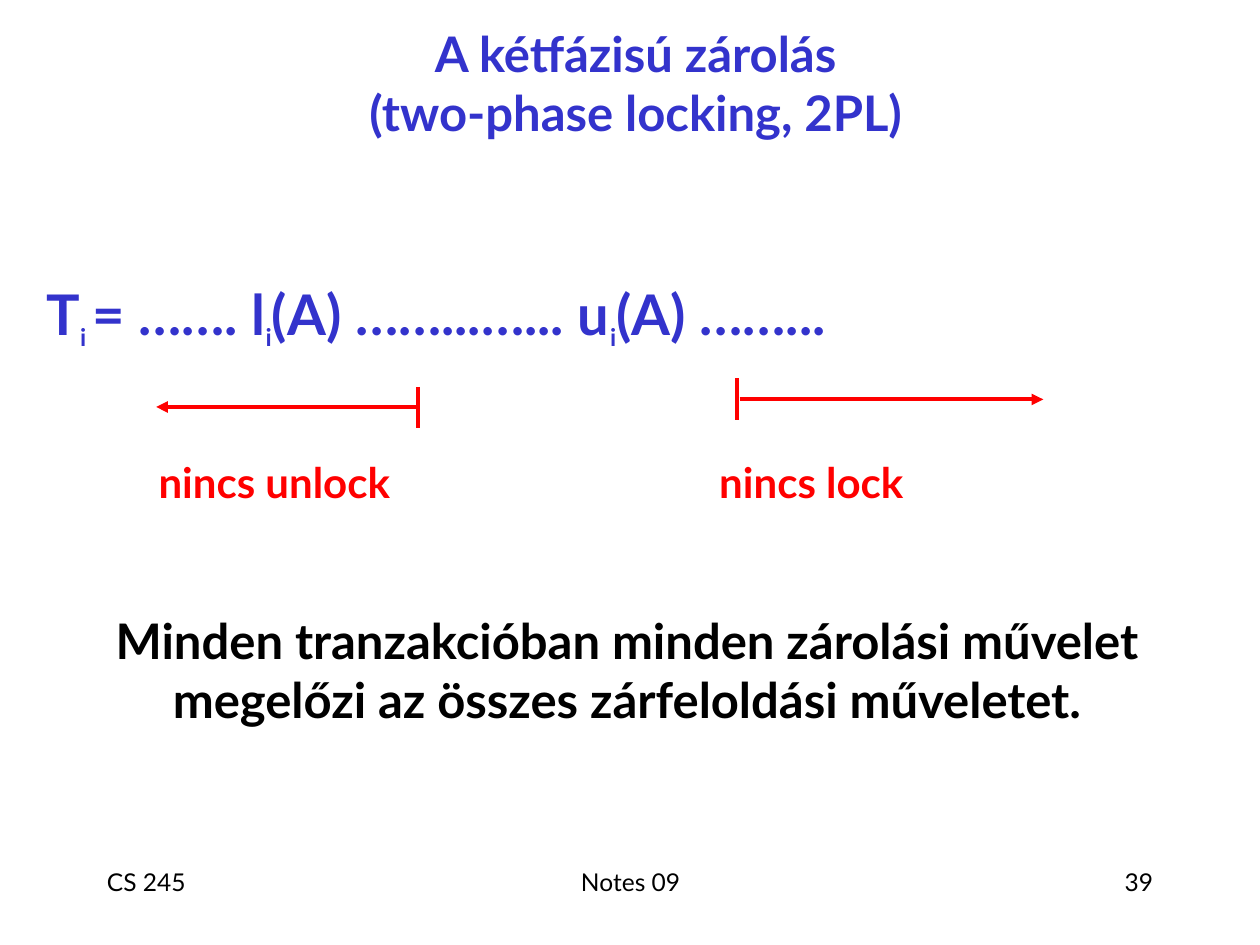
"""Build the slide on two-phase locking."""
from lxml import etree
from pptx import Presentation
from pptx.dml.color import RGBColor
from pptx.enum.shapes import MSO_CONNECTOR
from pptx.enum.text import MSO_ANCHOR, PP_ALIGN
from pptx.oxml.ns import qn
from pptx.util import Inches, Pt

BLUE = RGBColor(0x33, 0x33, 0xCC)
RED = RGBColor(0xFF, 0, 0)
BLACK = RGBColor(0, 0, 0)
LEFT, MID, RIGHT = PP_ALIGN.LEFT, PP_ALIGN.CENTER, PP_ALIGN.RIGHT
TOP, CENTER = MSO_ANCHOR.TOP, MSO_ANCHOR.MIDDLE
STRAIGHT = MSO_CONNECTOR.STRAIGHT
FONT = "Lato"

TITLE = ["A kétfázisú zárolás", "(two-phase locking, 2PL)"]
RULE = ["Minden tranzakcióban minden zárolási művelet "
        "megelőzi az összes zárfeloldási műveletet."]
TERMS = [("T", "i "), ("= ……. l", "i"), ("(A) ……...…... u", "i"),
         ("(A) ……...", "")]
LABELS = [("nincs unlock", 1.16), ("nincs lock", 5.61)]
FOOT = [("CS 245", 0.75, 2.08, LEFT), ("Notes 09", 3.42, 3.17, MID),
        ("39", 7.17, 2.08, RIGHT)]
ARROWS = [(3.32, 1.24, 3.23), (5.87, 8.28, 3.17)]
BARS = [(3.32, 3.07), (5.85, 3.0)]
BAR = 0.33


def add_box(slide, at, align=LEFT, anchor=TOP):
    frame = slide.shapes.add_textbox(*map(Inches, at)).text_frame
    frame.word_wrap = True
    frame.vertical_anchor = anchor
    para = frame.paragraphs[0]
    para.alignment = align
    return para


def add_run(para, text, size, color, bold=True):
    run = para.add_run()
    run.text = text
    font = run.font
    font.name, font.size, font.bold = FONT, Pt(size), bold
    font.color.rgb = color
    return run


def add_text(slide, lines, at, size, color, align=LEFT, anchor=TOP, bold=True):
    para = add_box(slide, at, align, anchor)
    for i, line in enumerate(lines):
        if i:
            para.add_line_break()
        add_run(para, line, size, color, bold)


def add_terms(slide, at):
    para = add_box(slide, at)
    for base, sub in TERMS:
        add_run(para, base, 32, BLUE)
        if sub:
            run = add_run(para, sub, 24, BLUE)
            run.font._element.set("baseline", "-25000")


def add_line(slide, x1, y1, x2, y2, arrow=False):
    line = slide.shapes.add_connector(STRAIGHT, *map(Inches, (x1, y1, x2, y2)))
    line.line.color.rgb = RED
    line.line.width = Pt(2.25)
    if arrow:
        tip = etree.SubElement(line.line._get_or_add_ln(), qn("a:tailEnd"))
        tip.set("type", "triangle")
    etree.SubElement(line._element.spPr, qn("a:effectLst"))


def main():
    deck = Presentation()
    deck.slide_width, deck.slide_height = Inches(10), Inches(7.5)
    slide = deck.slides.add_slide(deck.slide_layouts[6])
    add_text(slide, TITLE, (0.68, 0.31, 8.73, 0.69), 28, BLUE, MID, CENTER)
    add_terms(slide, (0.27, 2.17, 8.98, 0.7))
    for x1, x2, y in ARROWS:
        add_line(slide, x1, y, x2, y, True)
    for x, y in BARS:
        add_line(slide, x, y, x, y + BAR)
    for text, x in LABELS:
        add_text(slide, [text], (x, 3.57, 2.75, 0.5), 24, RED, anchor=CENTER)
    add_text(slide, RULE, (0.72, 4.8, 8.51, 1.5), 28, BLACK, MID)
    for text, x, wide, align in FOOT:
        add_text(slide, [text], (x, 6.83, wide, 0.5), 14, BLACK, align,
                 bold=False)
    deck.save("out.pptx")


if __name__ == "__main__":
    main()
